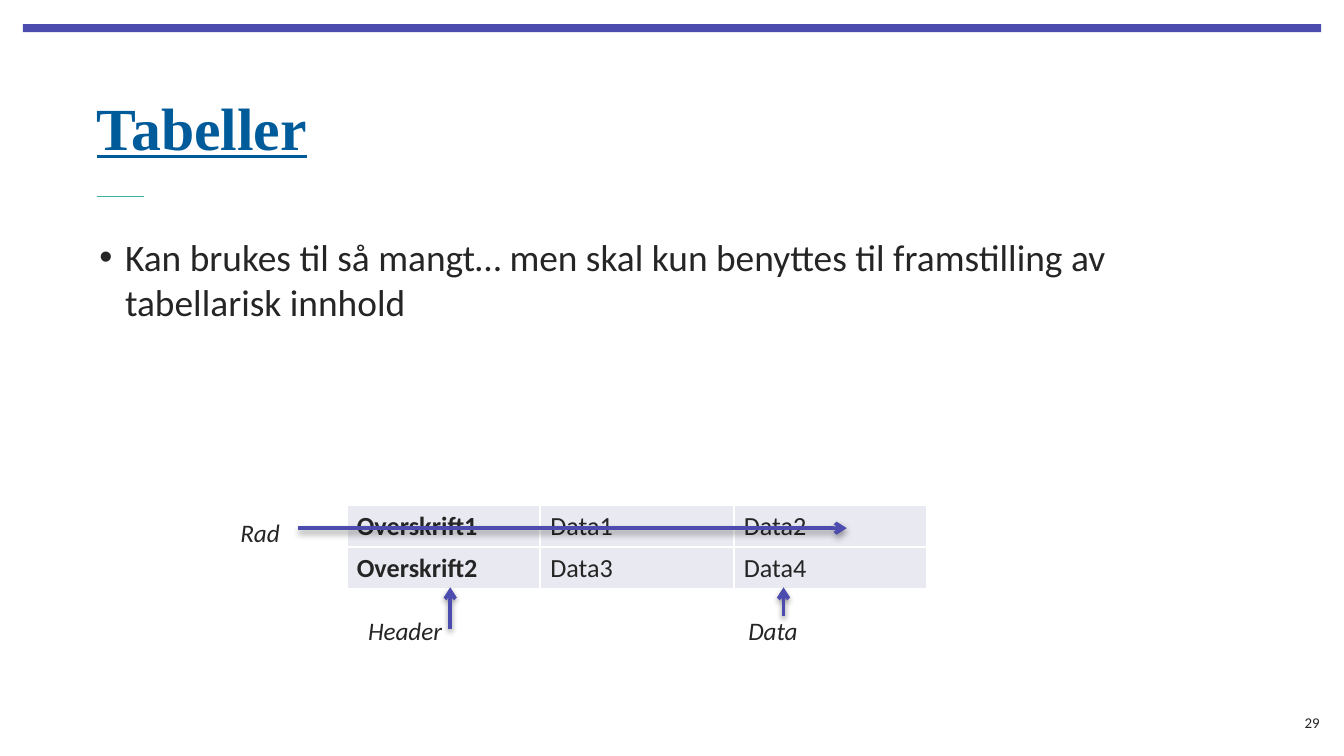
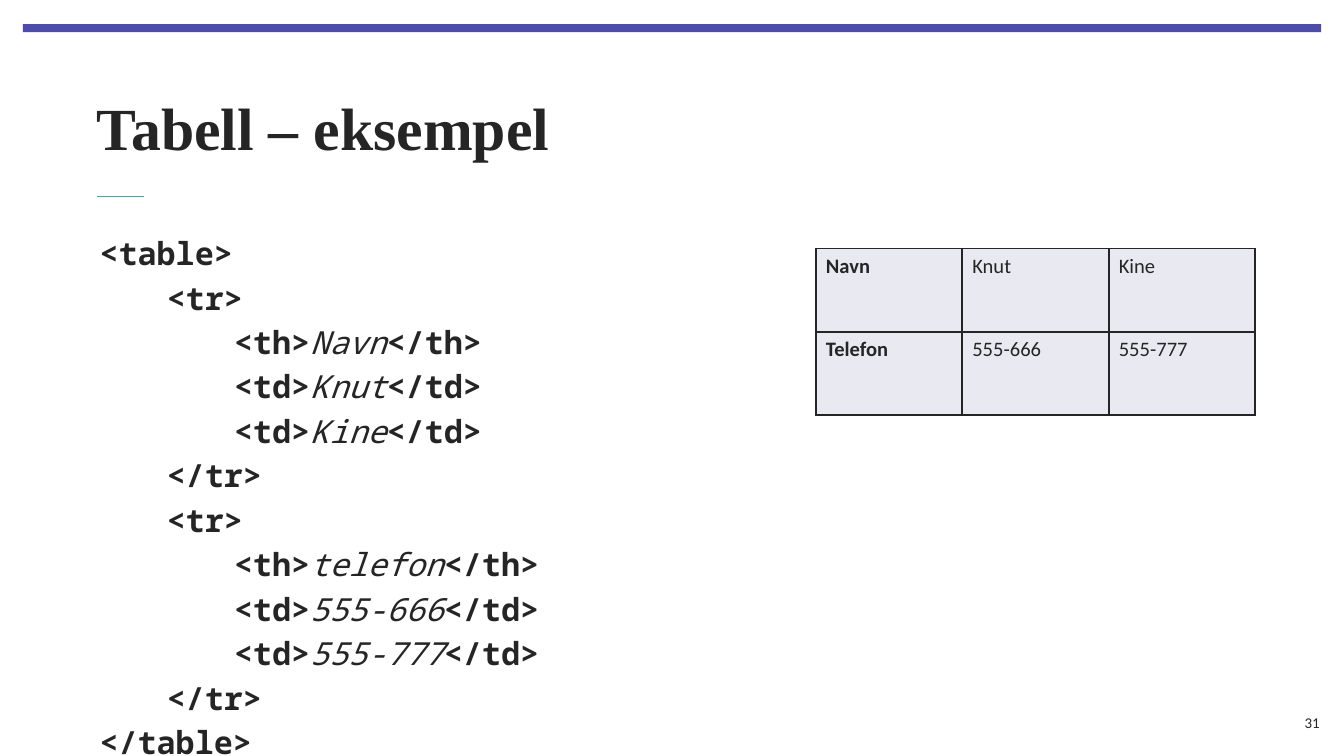
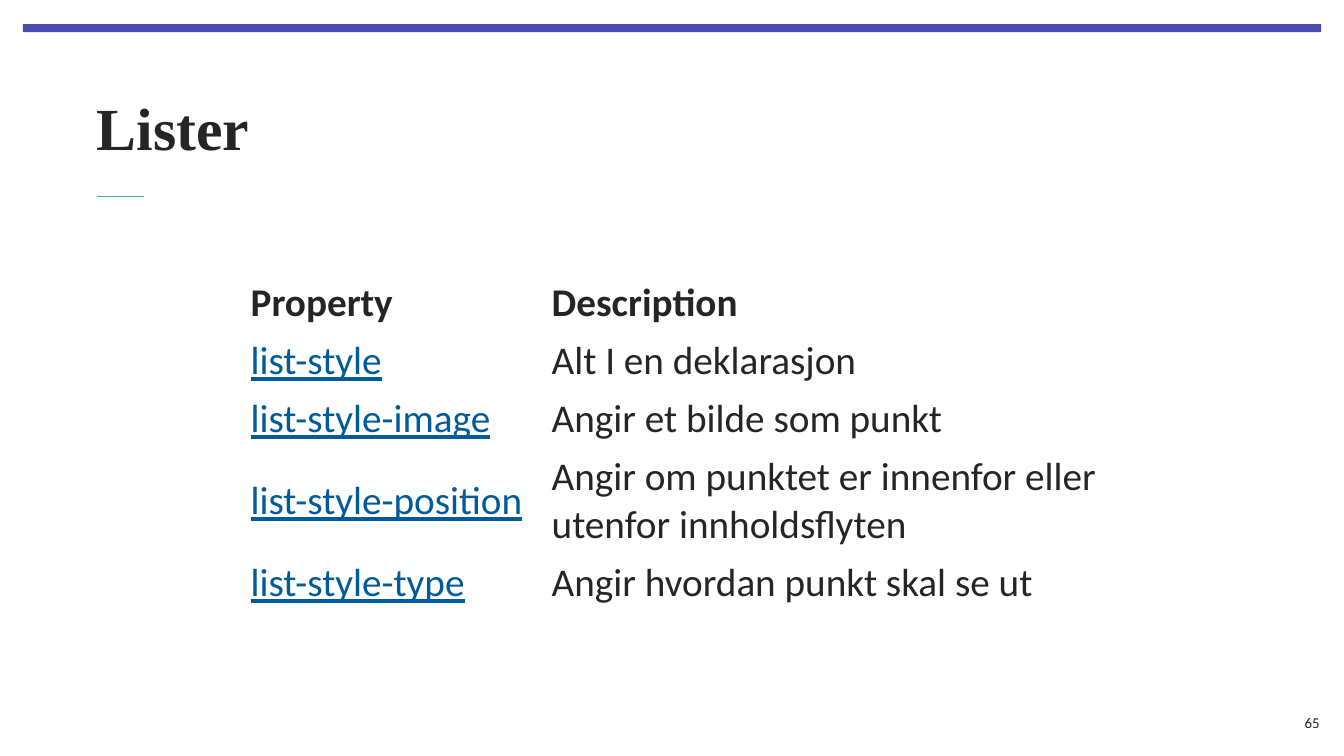
from lxml import etree
from pptx import Presentation
from pptx import util as u
from pptx.dml.color import RGBColor
from pptx.enum import shapes, text
from pptx.oxml.ns import qn

INK, BLUE, BAND, TEAL = "252525", "005B9A", "4B4CAD", "3BAFA2"
PALE, WHITE, BLACK = "E9E9F1", "FFFFFF", "000000"
SANS, SERIF, MONO = "Calibri", "Times New Roman", "Noto Sans Mono"
TOP, MID = text.MSO_ANCHOR.TOP, text.MSO_ANCHOR.MIDDLE

POINT = "Kan brukes til så mangt… men skal kun benyttes til framstilling av tabellarisk innhold"
PARTS = [["Overskrift1", "Data1", "Data2"],
         ["Overskrift2", "Data3", "Data4"]]
LABELS = [("Rad", 1.69, 3.8, 0.53), ("Header", 2.64, 4.53, 1), ("Data", 5.47, 4.53, 1)]
ARROWS = [(2.22, 3.93, 6.3, 3.93), (3.35, 4.68, 3.35, 4.37), (5.83, 4.58, 5.83, 4.37)]

# Each line alternates between markup and cell content
CODE = [
    ["<table>"],
    ["\t<tr>"],
    ["\t\t<th>", "Navn", "</th>"],
    ["\t\t<td>", "Knut", "</td>"],
    ["\t\t<td>", "Kine", "</td>"],
    ["\t</tr>"],
    ["\t<tr>"],
    ["\t\t<th>", "telefon", "</th>"],
    ["\t\t<td>", "555-666", "</td>"],
    ["\t\t<td>", "555-777", "</td>"],
    ["\t</tr>"],
    ["</table>"],
]
PHONES = [["Navn", "Knut", "Kine"],
          ["Telefon", "555-666", "555-777"]]

PROPS = [
    ["Property", "Description"],
    ["list-style", "Alt I en deklarasjon"],
    ["list-style-image", "Angir et bilde som punkt"],
    ["list-style-position", "Angir om punktet er innenfor eller utenfor innholdsflyten"],
    ["list-style-type", "Angir hvordan punkt skal se ut"],
]


def rgb(code):
    return RGBColor.from_string(code)


def add_xml(parent, tag, **attrs):
    return etree.SubElement(parent, qn(tag), attrs)


def place(shape, *box):
    shape.left, shape.top, shape.width, shape.height = map(u.Inches, box)


def write(para, words, size=14, face=SANS, color=INK, bold=False,
          ital=False, under=False, align=text.PP_ALIGN.LEFT):
    para.alignment = align
    run = para.add_run()
    run.text = words
    font = run.font
    font.size, font.name = u.Pt(size), face
    font.bold, font.italic, font.underline = bold, ital, under
    font.color.rgb = rgb(color)


def set_frame(frame, pads=(0, 0, 0, 0), anchor=TOP):
    frame.word_wrap = True
    frame.auto_size = text.MSO_AUTO_SIZE.NONE
    frame.vertical_anchor = anchor
    (frame.margin_left, frame.margin_top,
     frame.margin_right, frame.margin_bottom) = map(u.Inches, pads)
    return frame


def add_box(slide, words, box, pads=(0.1, 0.05, 0.1, 0.05), anchor=TOP, **fmt):
    shape = slide.shapes.add_textbox(*map(u.Inches, box))
    frame = set_frame(shape.text_frame, pads, anchor)
    write(frame.paragraphs[0], words, **fmt)


def add_line(slide, ends, color, width, arrow=False):
    line = slide.shapes.add_connector(shapes.MSO_CONNECTOR.STRAIGHT, *map(u.Inches, ends))
    line.line.color.rgb = rgb(color)
    line.line.width = u.Pt(width)
    props = line._element.spPr
    if arrow:
        add_xml(props.find(qn("a:ln")), "a:tailEnd", type="arrow")
    effects = add_xml(props, "a:effectLst")
    if arrow:
        shade = add_xml(effects, "a:outerShdw", blurRad=str(u.Pt(3.1)), dist=str(u.Pt(1.6)),
                        dir="5400000", rotWithShape="0")
        add_xml(add_xml(shade, "a:srgbClr", val=BLACK), "a:alpha", val="38000")


def set_list(para, hang=0, bullet=None, tabs=()):
    props = para._p.get_or_add_pPr()
    props.set("marL", str(u.Inches(hang)))
    props.set("indent", str(-u.Inches(hang)))
    if bullet:
        add_xml(props, "a:buFont", typeface="Arial")
        add_xml(props, "a:buChar", char=bullet)
    else:
        add_xml(props, "a:buNone")
    if tabs:
        stops = add_xml(props, "a:tabLst")
        for stop in tabs:
            add_xml(stops, "a:tab", pos=str(u.Inches(stop)), algn="l")
    para.space_before = u.Pt(0)


def edge(cell, color):
    props = cell._tc.get_or_add_tcPr()
    for side in "LRTB":
        line = add_xml(props, "a:ln" + side, w=str(u.Pt(1)))
        if color:
            add_xml(add_xml(line, "a:solidFill"), "a:srgbClr", val=color)
        else:
            add_xml(line, "a:noFill")


def add_grid(slide, data, left, top, cols, rows, style, fill=None, border=None, anchor=TOP):
    """Add a table; style(row, col) gives the text format of a cell."""
    box = map(u.Inches, (left, top, sum(cols), sum(rows)))
    grid = slide.shapes.add_table(len(rows), len(cols), *box).table
    grid.first_row = grid.horz_banding = False
    for col, width in zip(grid.columns, cols):
        col.width = u.Inches(width)
    for row, height in zip(grid.rows, rows):
        row.height = u.Inches(height)
    for r, line in enumerate(data):
        for c, words in enumerate(line):
            cell = grid.cell(r, c)
            edge(cell, border)
            if fill:
                cell.fill.solid()
                cell.fill.fore_color.rgb = rgb(fill)
            else:
                cell.fill.background()
            cell.margin_left = cell.margin_right = u.Pt(5.4)
            cell.margin_top = cell.margin_bottom = u.Pt(2.7)
            cell.vertical_anchor = anchor
            write(cell.text_frame.paragraphs[0], words, **style(r, c))


def add_slide(deck, layout, title, number, **fmt):
    """Add a slide with the shared band, title, rule and page number."""
    slide = deck.slides.add_slide(deck.slide_layouts[layout])
    band = slide.shapes.add_shape(shapes.MSO_SHAPE.RECTANGLE,
                                  *map(u.Inches, (0.17, 0.18, 9.66, 0.06)))
    band.fill.solid()
    band.fill.fore_color.rgb = rgb(BAND)
    band.line.fill.background()
    band.shadow.inherit = False
    add_line(slide, (0.72, 1.46, 1.07, 1.46), TEAL, 0.5)
    head = slide.shapes.title
    place(head, 0.72, 0.47, 8.71, 0.94)
    frame = set_frame(head.text_frame, anchor=MID)
    write(frame.paragraphs[0], title, size=32, face=SERIF, bold=True, **fmt)
    add_box(slide, number, (7.49, 5.29, 2.33, 0.17), pads=(0, 0, 0, 0), anchor=MID,
            size=8, align=text.PP_ALIGN.RIGHT)
    return slide


def get_body(slide, height):
    body = slide.placeholders[1]
    place(body, 0.64, 1.74, 8.78, height)
    return set_frame(body.text_frame, (0.1, 0, 0.1, 0))


def add_parts(deck):
    slide = add_slide(deck, 1, "Tabeller", "29", color=BLUE, under=True)
    para = get_body(slide, 3.12).paragraphs[0]
    set_list(para, 0.19, "•")
    write(para, POINT, size=20)
    add_grid(slide, PARTS, 2.58, 3.76, [1.44] * 3, [0.31] * 2,
             lambda r, c: {"size": 14, "bold": c == 0}, PALE, WHITE)
    for words, left, top, width in LABELS:
        add_box(slide, words, (left, top, width, 0.33), size=13.5, ital=True)
    for ends in ARROWS:
        add_line(slide, ends, BAND, 2, arrow=True)


def add_code(deck):
    slide = add_slide(deck, 1, "Tabell – eksempel", "31")
    frame = get_body(slide, 3.54)
    for n, line in enumerate(CODE):
        para = frame.add_paragraph() if n else frame.paragraphs[0]
        set_list(para, tabs=(0.5, 1))
        if n:
            para.space_before = u.Pt(3.4)
        for k, words in enumerate(line):
            value = k % 2 == 1
            write(para, words, size=17, face=MONO, bold=not value, ital=value)
    add_grid(slide, PHONES, 6.07, 1.85, [1.09] * 3, [0.62] * 2,
             lambda r, c: {"size": 11, "bold": c == 0}, PALE, INK)


def prop_style(row, col):
    link = row > 0 and col == 0
    return {"size": 21, "bold": row == 0, "under": link, "color": BLUE if link else INK}


def add_props(deck):
    slide = add_slide(deck, 5, "Lister", "65")
    add_grid(slide, PROPS, 1.79, 2.04, [2.24, 4.32], [0.42, 0.42, 0.42, 0.77, 0.42],
             prop_style, anchor=MID)


def main():
    deck = Presentation()
    deck.slide_width, deck.slide_height = u.Pt(720), u.Pt(405)
    add_parts(deck)
    add_code(deck)
    add_props(deck)
    deck.save("out.pptx")


if __name__ == "__main__":
    main()
